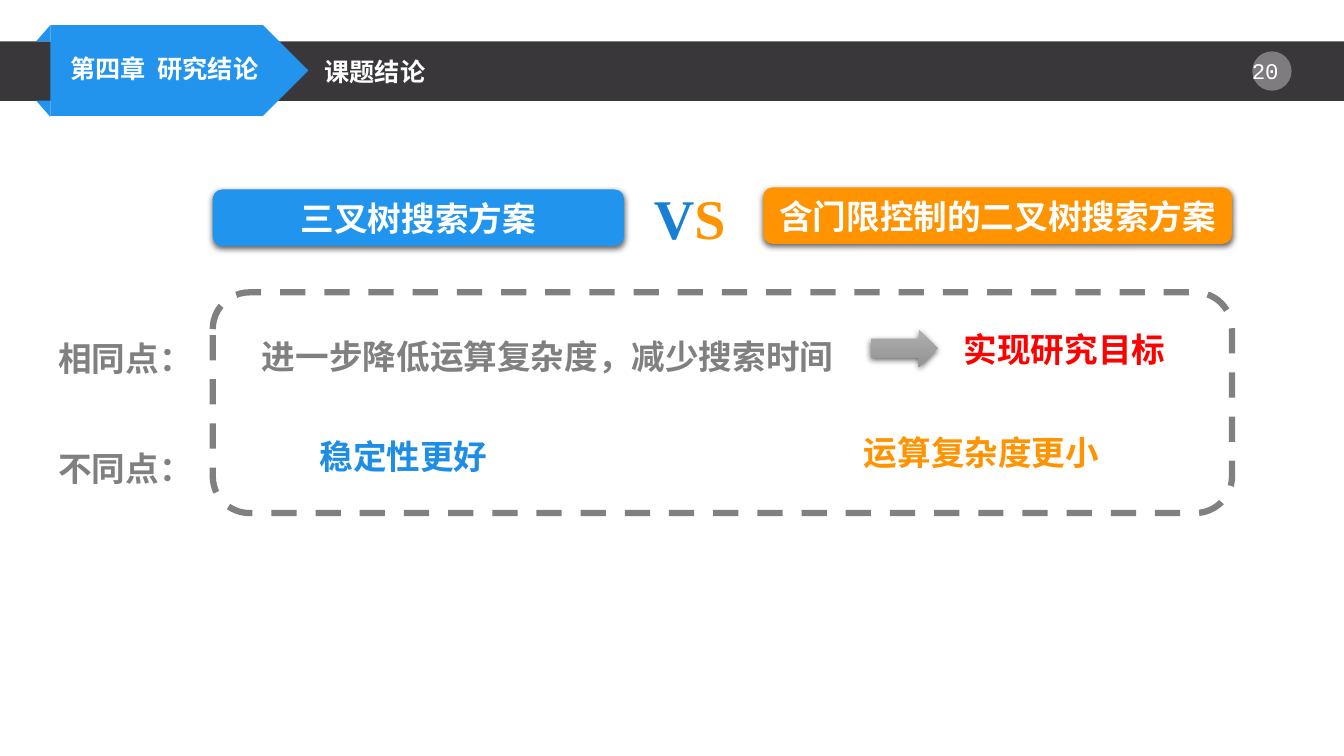
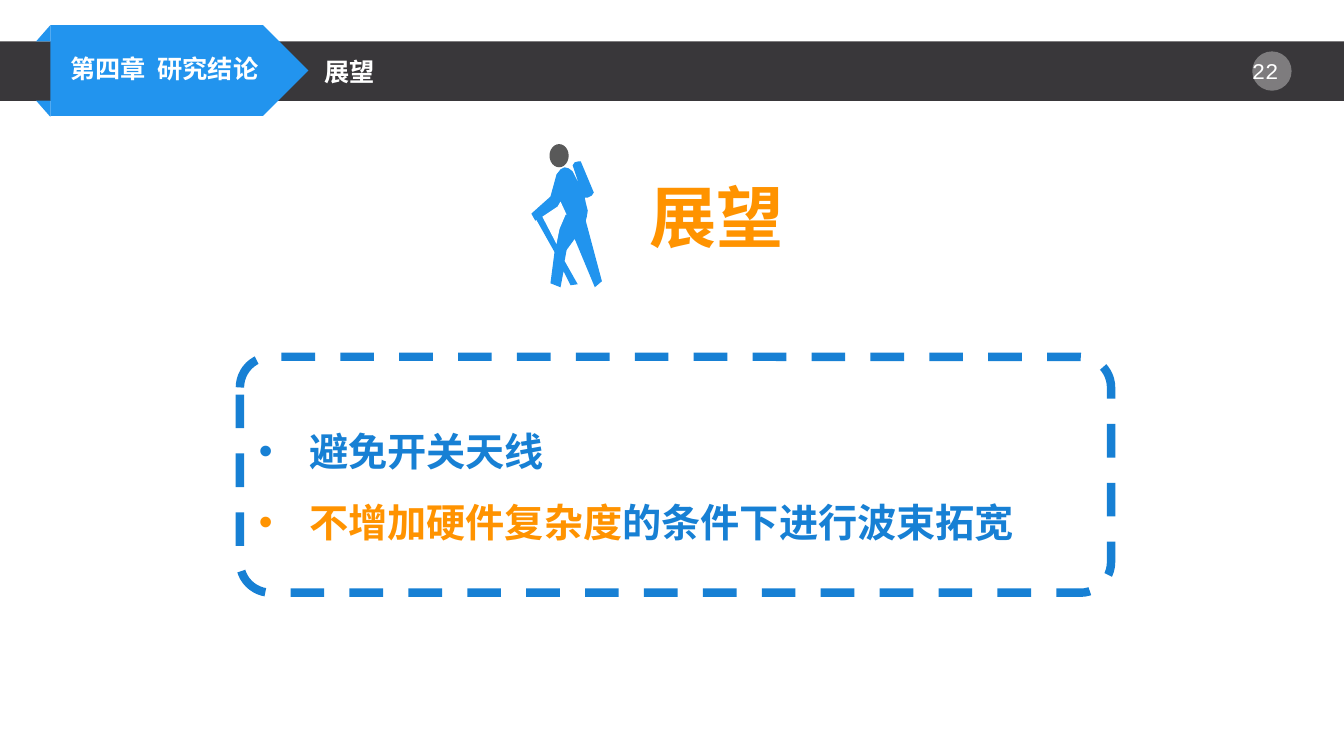
import pptx
import pptx.dml.color
import pptx.enum.dml
import pptx.enum.shapes
import pptx.enum.text
import pptx.oxml
import pptx.oxml.ns
import pptx.util
import lxml.etree

Inches = pptx.util.Inches
Pt = pptx.util.Pt
SHAPES = pptx.enum.shapes.MSO_SHAPE
ALIGN = pptx.enum.text.PP_ALIGN
ANCHOR = pptx.enum.text.MSO_ANCHOR

CJK, SERIF, MONO = "Noto Sans CJK SC", "Times New Roman", "Courier New"
WHITE, BAND, BANNER, BLUE, DEEP_BLUE = "FFFFFF", "39373A", "2294EE", "2194EE", "1780D4"
ORANGE, GRAY, RED, SKY, HEAD = "FF9300", "808080", "FF0000", "1D8DE5", "595959"

BODY = [(29, 142), (32, 126), (39, 140), (46, 139), (33, 116), (35, 105), (43, 94),
        (63, 142), (70, 136), (54, 76), (55, 72), (56, 66), (54, 58), (53, 53),
        (56, 53), (60, 51), (62, 48), (49, 17), (47, 17), (43, 18), (41, 21),
        (47, 39), (43, 31), (41, 27), (37, 24), (33, 23), (29, 25), (25, 30),
        (19, 52), (0, 69), (4, 76), (5, 75), (23, 107), (19, 138)]
ARM_GAP = [(25, 99), (11, 72), (26, 62), (29, 57), (35, 70), (34, 70), (31, 77), (28, 84)]


def color(value):
    """Return the colour for a hex string."""
    return pptx.dml.color.RGBColor.from_string(value)


def add_xml(parent, tag, **attributes):
    """Append a DrawingML element and return it."""
    element = lxml.etree.SubElement(parent, pptx.oxml.ns.qn(tag))
    for name, value in attributes.items():
        element.set(name, str(value))
    return element


def paint(shape, fill):
    """Give a shape a plain fill without line or shadow."""
    shape.shadow.inherit = False
    shape.line.fill.background()
    shape.fill.solid()
    shape.fill.fore_color.rgb = color(fill)


def add_block(slide, kind, box, fill):
    """Add a filled preset shape."""
    shape = slide.shapes.add_shape(kind, *map(Inches, box))
    paint(shape, fill)
    return shape


def add_outline(slide, left, top, points, fill):
    """Add a filled polygon whose points are hundredths of an inch."""
    builder = slide.shapes.build_freeform(*points[0], scale=Inches(0.01))
    builder.add_line_segments(points[1:], close=True)
    paint(builder.convert_to_shape(Inches(left), Inches(top)), fill)


def add_shadow(shape):
    """Drop a soft shadow below a shape."""
    effects = shape._element.spPr.find(pptx.oxml.ns.qn("a:effectLst"))
    shadow = add_xml(effects, "a:outerShdw", blurRad=Pt(4.5), dist=Pt(1.5),
                     dir=5400000, algn="ctr", rotWithShape=0)
    black = add_xml(shadow, "a:srgbClr", val="000000")
    add_xml(black, "a:alpha", val=63000)


def add_run(paragraph, text, size, fill, font=CJK, bold=True):
    """Add one formatted run."""
    run = paragraph.add_run()
    run.text = text
    run.font.size = Pt(size)
    run.font.bold = bold
    run.font.color.rgb = color(fill)
    run.font.name = font
    add_xml(run._r.get_or_add_rPr(), "a:ea", typeface=font)


def add_text(slide, box, runs, size, font=CJK, align=ALIGN.LEFT, spacing=None,
             bold=True, anchor=ANCHOR.TOP):
    """Add a one-paragraph text box from (text, colour) runs."""
    frame = slide.shapes.add_textbox(*map(Inches, box)).text_frame
    frame.word_wrap = True
    frame.vertical_anchor = anchor
    paragraph = frame.paragraphs[0]
    paragraph.alignment = align
    paragraph.line_spacing = spacing
    for text, fill in runs:
        add_run(paragraph, text, size, fill, font, bold)


def add_dashed_frame(slide, box, stroke, width):
    """Add an unfilled rounded frame with a dashed line."""
    shape = slide.shapes.add_shape(SHAPES.ROUNDED_RECTANGLE, *map(Inches, box))
    shape.shadow.inherit = False
    shape.fill.background()
    shape.line.color.rgb = color(stroke)
    shape.line.width = Pt(width)
    shape.line.dash_style = pptx.enum.dml.MSO_LINE.DASH
    return shape


def add_banner(slide, left, top):
    """Add the chapter arrow with its two folded corners."""
    fold_width, fold_height, height = 0.14, 0.16, 0.9
    add_block(slide, SHAPES.PENTAGON, (left, top, 2.56, height), BANNER)
    for fold_top, flips in ((top, ["flipH"]), (top + height - 0.15, ["flipH", "flipV"])):
        fold = add_block(slide, SHAPES.RIGHT_TRIANGLE,
                         (left - fold_width, fold_top, fold_width, fold_height), BANNER)
        for flip in flips:
            fold._element.spPr.get_or_add_xfrm().set(flip, "1")
    add_text(slide, (left + 0.1, top + 0.23, 5.59, 0.4), [("第四章  研究结论", WHITE)], 18,
             anchor=ANCHOR.MIDDLE)


def add_header(slide, title, number):
    """Add the band, page number, chapter and title of a slide."""
    top = 0.41
    add_block(slide, SHAPES.RECTANGLE, (0, top, 13.33, 0.59), BAND)
    disc = add_block(slide, SHAPES.OVAL, (12.42, top + 0.1, 0.39, 0.39), WHITE)
    fill = disc._element.spPr.find(pptx.oxml.ns.qn("a:solidFill"))
    add_xml(fill[0], "a:alpha", val=35000)
    add_text(slide, (12.26, top + 0.11, 0.71, 0.37), [(f"{number} ", WHITE)], 16,
             MONO, ALIGN.CENTER, bold=False)
    add_banner(slide, 0.5, 0.25)
    add_text(slide, (3.12, top + 0.1, 2.31, 0.4), [(title, WHITE)], 18)


def add_pill(slide, box, text, fill):
    """Add a shadowed scheme label."""
    pill = add_block(slide, SHAPES.ROUNDED_RECTANGLE, box, fill)
    add_shadow(pill)
    frame = pill.text_frame
    frame.word_wrap = True
    frame.vertical_anchor = ANCHOR.MIDDLE
    paragraph = frame.paragraphs[0]
    paragraph.alignment = ALIGN.CENTER
    add_run(paragraph, text, 24, WHITE)


def add_versus(slide, left, top):
    """Add the two schemes that are compared."""
    add_pill(slide, (left, top + 0.02, 4.08, 0.56), "三叉树搜索方案", BLUE)
    add_text(slide, (left + 4.11, top - 0.09, 1.24, 0.77), [("V", DEEP_BLUE), ("S", ORANGE)],
             40, SERIF, ALIGN.CENTER)
    add_pill(slide, (left + 5.46, top, 4.65, 0.56), "含门限控制的二叉树搜索方案", ORANGE)


def add_arrow(slide, box):
    """Add the gray gradient arrow."""
    arrow = add_block(slide, SHAPES.RIGHT_ARROW, box, GRAY)
    arrow.fill.gradient()
    arrow.fill.gradient_angle = 270
    for stop, shade in zip(arrow.fill.gradient_stops, ("AFAFAF", "939393")):
        stop.color.rgb = color(shade)
    add_shadow(arrow)


def add_comparison(slide, left, top):
    """Add the framed common points and differences."""
    for offset, label in ((0.2, "相同点："), (1.29, "不同点：")):
        add_text(slide, (left - 1.63, top + offset, 1.63, 0.71), [(label, GRAY)], 24,
                 spacing=1.5)
    add_text(slide, (left + 0.39, top + 0.18, 6.35, 0.71),
             [("进一步降低运算复杂度，减少搜索时间", GRAY)], 24, spacing=1.5)
    for x, y, width, text, fill in ((7.35, 0.31, 2.37, "实现研究目标", RED),
                                    (0.96, 1.38, 2.72, "稳定性更好", SKY),
                                    (6.36, 1.34, 2.72, "运算复杂度更小", ORANGE)):
        add_text(slide, (left + x, top + y, width, 0.5), [(text, fill)], 24)
    add_arrow(slide, (left + 6.53, top + 0.37, 0.66, 0.37))
    add_dashed_frame(slide, (left, top, 10.11, 2.19), GRAY, 4.5)


def add_hiker(slide, left, top):
    """Add the walking figure."""
    add_outline(slide, left, top, BODY, BLUE)
    add_outline(slide, left, top, ARM_GAP, WHITE)
    add_block(slide, SHAPES.OVAL, (left + 0.18, top, 0.19, 0.23), HEAD)


def add_outlook_list(slide, box):
    """Add the framed bullet list."""
    frame_shape = add_dashed_frame(slide, box, DEEP_BLUE, 6)
    frame_shape.adjustments[0] = 0.13
    frame = frame_shape.text_frame
    frame.word_wrap = True
    frame.vertical_anchor = ANCHOR.MIDDLE
    items = [[("避免开关天线", DEEP_BLUE)],
             [("不增加硬件复杂度", ORANGE), ("的条件下进行波束拓宽", DEEP_BLUE)]]
    for index, runs in enumerate(items):
        paragraph = frame.add_paragraph() if index else frame.paragraphs[0]
        paragraph.alignment = ALIGN.LEFT
        paragraph.line_spacing = 1.5
        properties = paragraph._p.get_or_add_pPr()
        properties.set("marL", str(Inches(0.5)))
        properties.set("indent", str(Inches(-0.5)))
        add_xml(properties, "a:buFont", typeface="Arial")
        add_xml(properties, "a:buChar", char="•")
        for text, fill in runs:
            add_run(paragraph, text, 28, fill)


def build_conclusion(slide):
    """Build the conclusion slide."""
    add_header(slide, "课题结论", 20)
    add_versus(slide, 2.11, 1.86)
    add_comparison(slide, 2.11, 2.9)


def build_outlook(slide):
    """Build the outlook slide."""
    add_header(slide, "展望", 22)
    add_hiker(slide, 5.27, 1.43)
    add_text(slide, (6.34, 1.69, 1.55, 0.91), [("展望", ORANGE)], 48)
    add_outlook_list(slide, (2.38, 3.54, 8.64, 2.34))


def main():
    """Build and save the presentation."""
    presentation = pptx.Presentation()
    presentation.slide_width = Inches(13.33)
    presentation.slide_height = Inches(7.5)
    for build in (build_conclusion, build_outlook):
        build(presentation.slides.add_slide(presentation.slide_layouts[6]))
    presentation.save("out.pptx")


if __name__ == "__main__":
    main()
